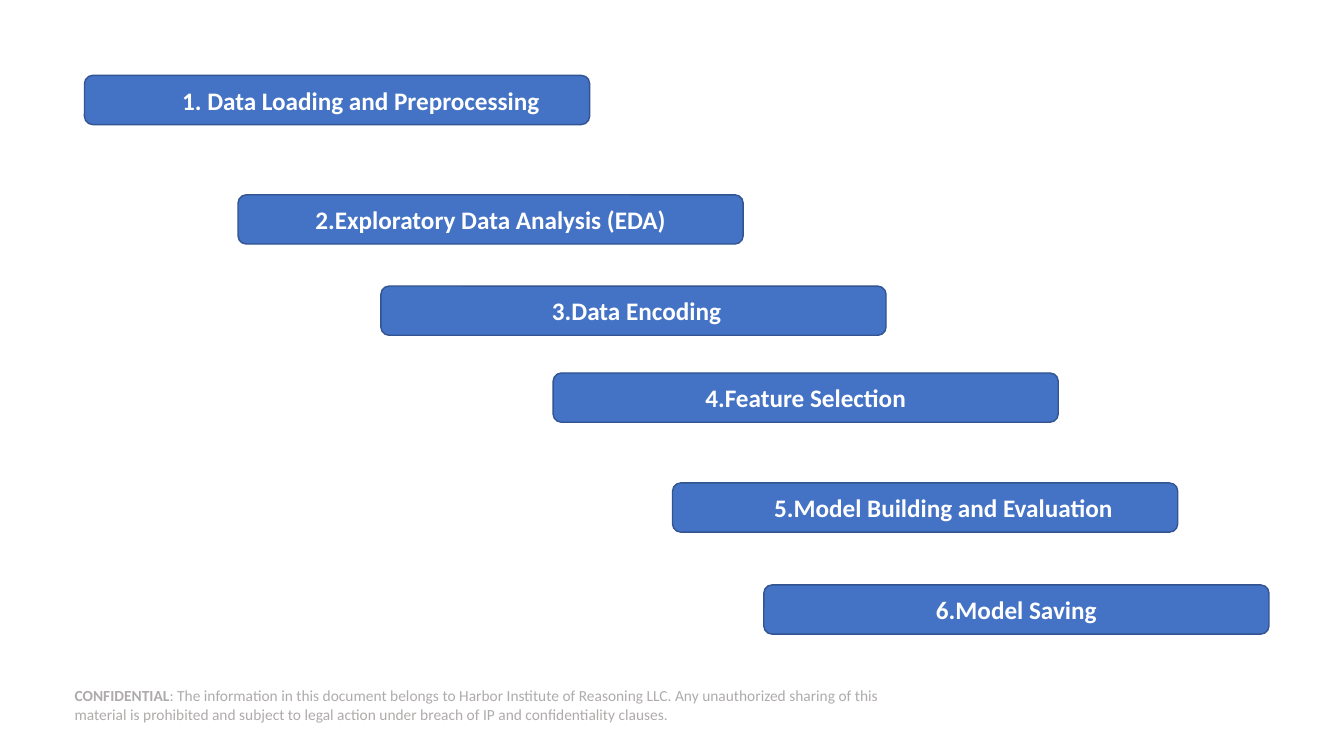
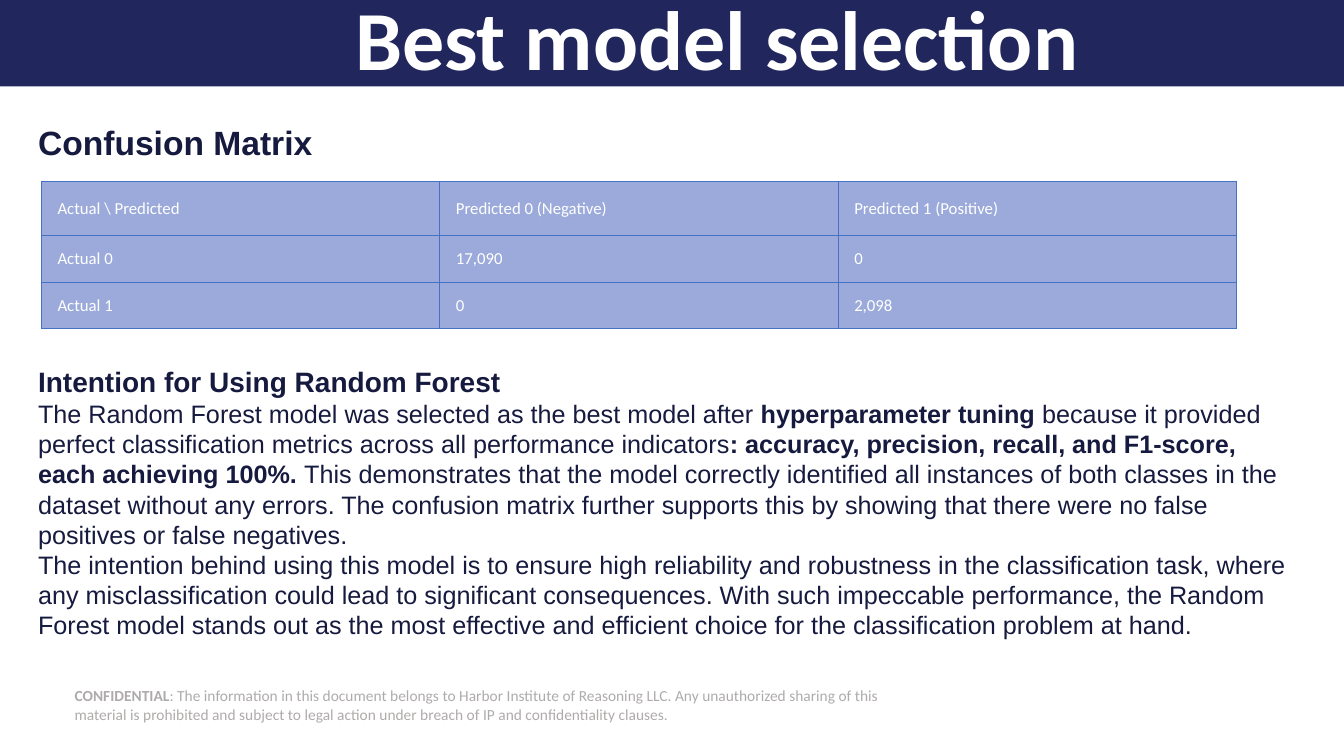
from dataclasses import dataclass

from lxml import etree
from pptx import Presentation
from pptx.dml.color import RGBColor
from pptx.enum.shapes import MSO_SHAPE
from pptx.enum.text import MSO_ANCHOR, PP_ALIGN
from pptx.oxml.ns import qn
from pptx.util import Cm, Pt

RECT, ROUND_RECT = MSO_SHAPE.RECTANGLE, MSO_SHAPE.ROUNDED_RECTANGLE
TOP, MIDDLE = MSO_ANCHOR.TOP, MSO_ANCHOR.MIDDLE
LEFT, CENTER = PP_ALIGN.LEFT, PP_ALIGN.CENTER


@dataclass(frozen=True)
class Theme:
    white: str = "FFFFFF"
    navy: str = "21275D"
    ink: str = "161A3E"
    blue: str = "4472C4"
    outline: str = "325491"
    cell: str = "9BAADA"
    grey: str = "AFABAB"
    ui_font: str = "Calibri"
    body_font: str = "Arial"
    title_size: int = 60
    heading_size: int = 24
    subheading_size: int = 20
    body_size: int = 18
    cell_size: int = 12
    footer_size: int = 11


SLIDE_W, SLIDE_H = 33.87, 19.05
BAR_W, BAR_H = 12.73, 1.24
BAR_PAD = 0.25

FOOTER = [
    ("CONFIDENTIAL", True),
    (": The information in this document belongs to Harbor Institute of Reasoning LLC. "
     "Any unauthorized sharing of this material is prohibited and subject to legal action "
     "under breach of IP and confidentiality clauses.", False),
]

# left, top, label, indent (None centres the label)
STEPS = [
    (2.13, 1.9, "1. Data Loading and Preprocessing", 2.15),
    (6.0, 4.91, "2.Exploratory Data Analysis (EDA)", None),
    (9.6, 7.21, "3.Data Encoding", 4.0),
    (13.94, 9.4, "4.Feature Selection", None),
    (16.95, 12.17, "5.Model Building and Evaluation", 2.25),
    (19.25, 14.74, "6.Model Saving", None),
]

CONFUSION = [
    ["Actual \\ Predicted", "Predicted 0 (Negative)", "Predicted 1 (Positive)"],
    ["Actual 0", "17,090", "0"],
    ["Actual 1", "0", "2,098"],
]

INTENTION = "Intention for Using Random Forest"
REASONS = [
    [("The Random Forest model was selected as the best model after ", False),
     ("hyperparameter tuning ", True),
     ("because it provided perfect classification metrics across all performance indicators", False),
     (": accuracy, precision, recall, and F1-score, each achieving 100%. ", True),
     ("This demonstrates that the model correctly identified all instances of both classes "
      "in the dataset without any errors. The confusion matrix further supports this by "
      "showing that there were no false positives or false negatives.", False)],
    [("The intention behind using this model is to ensure high reliability and robustness in "
      "the classification task, where any misclassification could lead to significant "
      "consequences. With such impeccable performance, the Random Forest model stands out as "
      "the most effective and efficient choice for the classification problem at hand.", False)],
]


class Deck:
    def __init__(self, theme):
        self.theme = theme
        self.prs = Presentation()
        self.prs.slide_width, self.prs.slide_height = Cm(SLIDE_W), Cm(SLIDE_H)
        self.s = None

    def new_slide(self):
        t = self.theme
        self.s = self.prs.slides.add_slide(self.prs.slide_layouts[6])
        footer = self.box(RECT, 1.88, 17.25, 20.75, 1.02, t.white)
        self.margins(footer.text_frame)
        self.add_runs(footer.text_frame.paragraphs[0], FOOTER, t.footer_size, t.grey)

    def box(self, kind, x, y, w, h, fill, line=None):
        sp = self.s.shapes.add_shape(kind, Cm(x), Cm(y), Cm(w), Cm(h))
        sp.shadow.inherit = False
        sp.fill.solid()
        sp.fill.fore_color.rgb = RGBColor.from_string(fill)
        if line:
            sp.line.color.rgb = RGBColor.from_string(line)
            sp.line.width = Pt(1)
        else:
            sp.line.fill.background()
        sp.text_frame.word_wrap = True
        sp.text_frame.vertical_anchor = MIDDLE
        return sp

    def margins(self, tf, left=0, right=0, top=0, bottom=0):
        tf.margin_left, tf.margin_right = Cm(left), Cm(right)
        tf.margin_top, tf.margin_bottom = Cm(top), Cm(bottom)

    def add_runs(self, p, runs, size, color, font=None, align=LEFT):
        """Fill a paragraph with (text, bold) runs in one style."""
        p.alignment = align
        for text, bold in runs:
            r = p.add_run()
            r.text = text
            r.font.name = font or self.theme.ui_font
            r.font.size = Pt(size)
            r.font.bold = bold
            r.font.color.rgb = RGBColor.from_string(color)

    def title(self, text, indent):
        t = self.theme
        band = self.box(RECT, 0, 0, SLIDE_W, 2.18, t.navy)
        self.margins(band.text_frame, left=indent)
        p = band.text_frame.paragraphs[0]
        p.line_spacing = 0.9
        self.add_runs(p, [(text, True)], t.title_size, t.white)

    def step(self, x, y, label, indent):
        t = self.theme
        bar = self.box(ROUND_RECT, x, y, BAR_W, BAR_H, t.blue, t.outline)
        self.margins(bar.text_frame, BAR_PAD + (indent or 0), BAR_PAD)
        self.add_runs(bar.text_frame.paragraphs[0], [(label, True)], t.body_size, t.white,
                      align=CENTER if indent is None else LEFT)

    def text(self, x, y, w, h, paragraphs, wrap=True):
        """Add a text box from (runs, size) paragraphs."""
        t = self.theme
        tf = self.s.shapes.add_textbox(Cm(x), Cm(y), Cm(w), Cm(h)).text_frame
        tf.word_wrap = wrap
        tf.vertical_anchor = TOP
        for i, (runs, size) in enumerate(paragraphs):
            p = tf.add_paragraph() if i else tf.paragraphs[0]
            self.add_runs(p, runs, size, t.ink, t.body_font)

    def table(self, x, y, col_w, row_heights, rows):
        t = self.theme
        n_cols = len(rows[0])
        frame = self.s.shapes.add_table(len(rows), n_cols, Cm(x), Cm(y),
                                        Cm(col_w * n_cols), Cm(sum(row_heights)))
        table = frame.table
        table.first_row = table.horz_banding = False
        for col in table.columns:
            col.width = Cm(col_w)
        for row, height, values in zip(table.rows, row_heights, rows):
            row.height = Cm(height)
            for cell, value in zip(row.cells, values):
                self.margins(cell, 0.41, 0.41, 0.08, 0.08)
                cell.vertical_anchor = MIDDLE
                self.borders(cell, t.blue, 0.5)
                cell.fill.solid()
                cell.fill.fore_color.rgb = RGBColor.from_string(t.cell)
                self.add_runs(cell.text_frame.paragraphs[0], [(value, False)],
                              t.cell_size, t.white)

    def borders(self, cell, color, width):
        """Line all four sides; call before the cell's fill is set."""
        tc_pr = cell._tc.get_or_add_tcPr()
        for side in "LRTB":
            ln = etree.SubElement(tc_pr, qn(f"a:ln{side}"), w=str(Pt(width)))
            fill = etree.SubElement(ln, qn("a:solidFill"))
            etree.SubElement(fill, qn("a:srgbClr"), val=color)


def main():
    theme = Theme()
    deck = Deck(theme)

    deck.new_slide()
    for step in STEPS:
        deck.step(*step)

    deck.new_slide()
    deck.title("Best model selection", 8.95)
    deck.text(0.71, 2.95, 7.49, 1.27,
              [([("Confusion Matrix", True)], theme.heading_size)], wrap=False)
    deck.table(1.04, 4.57, 10.04, [1.37, 1.17, 1.17], CONFUSION)
    deck.text(0.71, 9.06, 32.28, 7.4,
              [([(INTENTION, True)], theme.subheading_size)]
              + [(runs, theme.body_size) for runs in REASONS])

    deck.prs.save("out.pptx")


if __name__ == "__main__":
    main()
